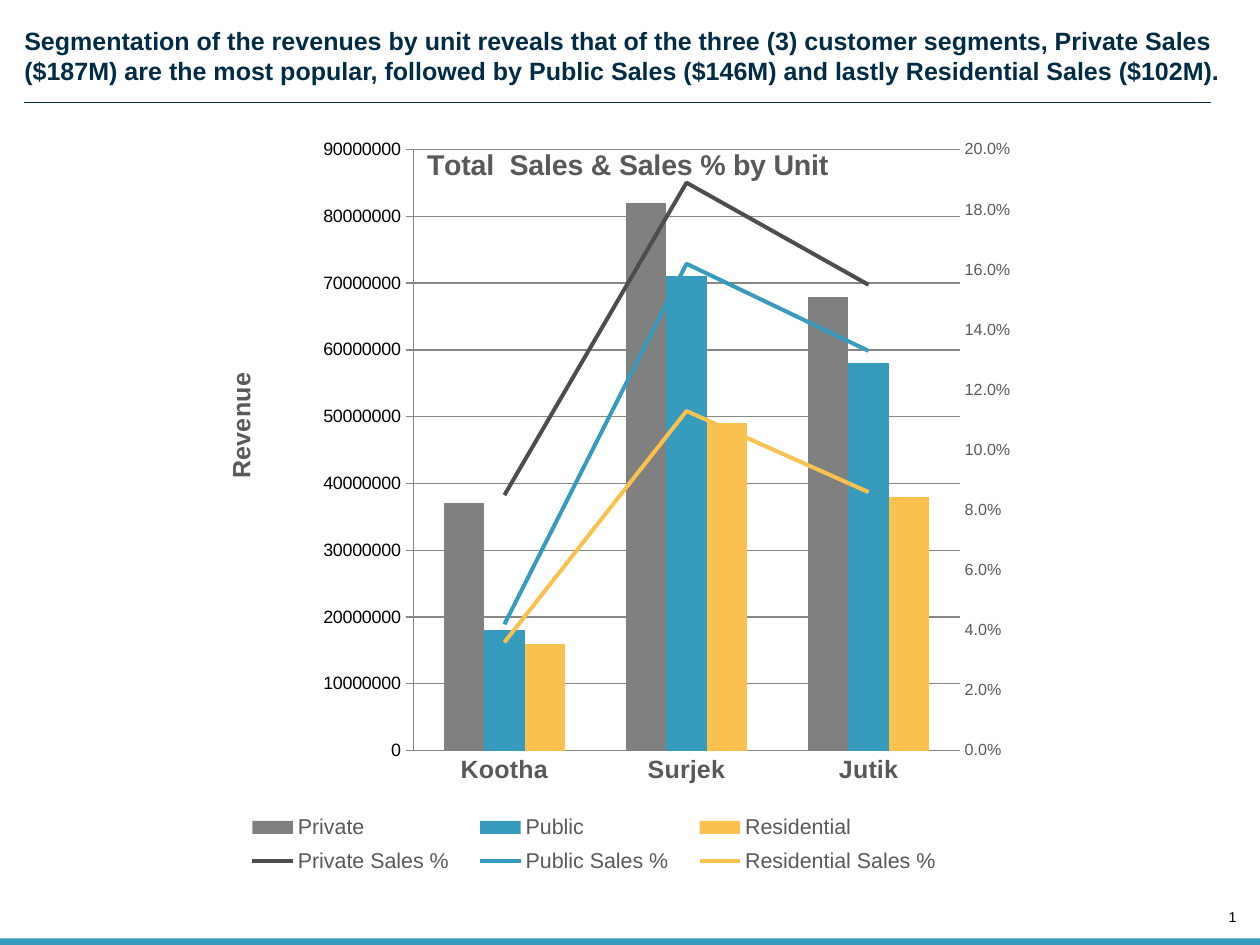
"""Build a slide with a combined column and line chart of sales by unit."""
from dataclasses import dataclass

from lxml.etree import SubElement
from pptx import Presentation
from pptx.chart.axis import ValueAxis
from pptx.chart.data import CategoryChartData
from pptx.dml.color import RGBColor
from pptx.enum.chart import XL_CHART_TYPE as ChartType
from pptx.enum.chart import XL_LEGEND_POSITION as LegendPosition
from pptx.enum.chart import XL_MARKER_STYLE as MarkerStyle
from pptx.enum.chart import XL_TICK_MARK as TickMark
from pptx.enum.shapes import MSO_CONNECTOR as Connector
from pptx.enum.shapes import MSO_SHAPE as Shape
from pptx.enum.text import MSO_ANCHOR as Anchor
from pptx.enum.text import PP_ALIGN as Align
from pptx.oxml import parse_xml
from pptx.oxml.ns import nsdecls, qn
from pptx.util import Cm, Pt


@dataclass(frozen=True)
class Theme:
    font: str = "Arial"
    navy: str = "002C46"
    blue: str = "379BBD"
    gray: str = "808080"
    dark_gray: str = "4D4D4D"
    yellow: str = "FBC14E"
    label: str = "595959"
    grid: str = "D9D9D9"
    black: str = "000000"
    heading: int = 14
    chart_title: int = 16
    legend: int = 12
    tick: int = 9
    page_number: int = 8
    thin: float = 0.75
    thick: float = 2.25


@dataclass(frozen=True)
class Measure:
    name: str
    values: tuple[float, ...]
    color: str


THEME = Theme()
UNITS = ("Kootha", "Surjek", "Jutik")
REVENUES = (
    Measure("Private", (37_000_000, 82_000_000, 68_000_000), THEME.gray),
    Measure("Public", (18_000_000, 71_000_000, 58_000_000), THEME.blue),
    Measure("Residential", (16_000_000, 49_000_000, 38_000_000), THEME.yellow),
)
SHARES = (
    Measure("Private Sales %", (0.085, 0.189, 0.155), THEME.dark_gray),
    Measure("Public Sales %", (0.042, 0.162, 0.133), THEME.blue),
    Measure("Residential Sales %", (0.036, 0.113, 0.086), THEME.yellow),
)
HEADING = (
    "Segmentation of the revenues by unit reveals that of the three (3) customer segments, "
    "Private Sales ($187M) are the most popular, followed by Public Sales ($146M) "
    "and lastly Residential Sales ($102M)."
)


def style_font(font, size: float, color: str, bold: bool = False) -> None:
    font.name, font.size, font.bold = THEME.font, Pt(size), bold
    font.color.rgb = RGBColor.from_string(color)


def write_text(frame, text: str, *, size: float, color: str, bold: bool = False,
               align=Align.LEFT, anchor=Anchor.TOP):
    frame.margin_left = frame.margin_right = frame.margin_top = frame.margin_bottom = 0
    frame.word_wrap = True
    frame.vertical_anchor = anchor
    paragraph = frame.paragraphs[0]
    paragraph.alignment = align
    run = paragraph.add_run()
    run.text = text
    style_font(run.font, size, color, bold)
    return run


def style_line(line, color: str, width: float) -> None:
    line.color.rgb = RGBColor.from_string(color)
    line.width = Pt(width)


def place(element, previous, **box: float) -> None:
    """Give a chart part a manual position, in fractions of the chart."""
    for layout in element.findall(qn("c:layout")):
        element.remove(layout)
    inner = '<c:layoutTarget val="inner"/>' if previous is None else ""
    modes = "".join(f'<c:{key}Mode val="edge"/>' for key in "xy")
    sizes = "".join(f'<c:{key} val="{value}"/>' for key, value in box.items())
    layout = parse_xml(f'<c:layout {nsdecls("c")}><c:manualLayout>{inner}{modes}{sizes}'
                       "</c:manualLayout></c:layout>")
    if previous is None:
        element.insert(0, layout)
    else:
        previous.addnext(layout)


def add_share_axis(chart) -> ValueAxis:
    """Move the share series to a line plot with its own right-hand axis."""
    plot_area = chart.plots[0]._element.getparent()
    bars = plot_area.find(qn("c:barChart"))
    lines = parse_xml(f'<c:lineChart {nsdecls("c")}><c:grouping val="standard"/><c:varyColors val="0"/>'
                      '<c:marker val="1"/><c:axId val="501"/><c:axId val="502"/></c:lineChart>')
    line_marker = lines.find(qn("c:marker"))
    for series in bars.findall(qn("c:ser"))[len(REVENUES):]:
        for setting in series.findall(qn("c:invertIfNegative")):
            series.remove(setting)
        line_marker.addprevious(series)
    bars.addnext(lines)
    previous = plot_area.find(qn("c:valAx"))
    for tag, own, other, hidden, side, crosses in (("catAx", 501, 502, 1, "b", "autoZero"),
                                                   ("valAx", 502, 501, 0, "r", "max")):
        axis = parse_xml(
            f'<c:{tag} {nsdecls("c")}><c:axId val="{own}"/><c:scaling><c:orientation val="minMax"/>'
            f'</c:scaling><c:delete val="{hidden}"/><c:axPos val="{side}"/>'
            f'<c:crossAx val="{other}"/><c:crosses val="{crosses}"/></c:{tag}>')
        previous.addnext(axis)
        previous = axis
    return ValueAxis(previous)


def style_axis(axis, size: float, bold: bool = False) -> None:
    axis.major_tick_mark = axis.minor_tick_mark = TickMark.NONE
    axis.format.line.fill.background()
    style_font(axis.tick_labels.font, size, THEME.label, bold)


def scale_axis(axis, maximum: float, unit: float, number_format: str) -> None:
    axis.minimum_scale, axis.maximum_scale, axis.major_unit = 0, maximum, unit
    axis.tick_labels.number_format = number_format
    axis.tick_labels.number_format_is_linked = False


def write_chart_title(title, text: str, size: float, x: float, y: float) -> None:
    run = title.text_frame.paragraphs[0].add_run()
    run.text = text
    style_font(run.font, size, THEME.label, True)
    place(title._element, title._element.find(qn("c:tx")), x=x, y=y)


def add_sales_chart(slide) -> None:
    data = CategoryChartData()
    data.categories = UNITS
    for measure in REVENUES + SHARES:
        data.add_series(measure.name, measure.values)
    chart = slide.shapes.add_chart(ChartType.COLUMN_CLUSTERED, Cm(3.35), Cm(2.34),
                                   Cm(16.61), Cm(15.42), data).chart
    style_font(chart.font, 10, THEME.black)
    share_axis = add_share_axis(chart)
    columns, lines = chart.plots
    columns.gap_width, columns.overlap, columns.vary_by_categories = 150, 0, False
    for series, measure in zip(columns.series, REVENUES):
        series.format.fill.solid()
        series.format.fill.fore_color.rgb = RGBColor.from_string(measure.color)
    for series, measure in zip(lines.series, SHARES):
        style_line(series.format.line, measure.color, THEME.thick)
        series.marker.style = MarkerStyle.NONE
        series.smooth = False

    revenue_axis = chart.value_axis
    style_axis(chart.category_axis, THEME.heading, True)
    style_axis(revenue_axis, THEME.tick)
    style_axis(share_axis, THEME.tick)
    scale_axis(revenue_axis, 90_000_000, 10_000_000, '"$"#,##0.00;[Red]\\-"$"#,##0.00')
    scale_axis(share_axis, 0.2, 0.02, "0.0%")
    style_line(revenue_axis.major_gridlines.format.line, THEME.grid, THEME.thin)

    write_chart_title(chart.chart_title, "Total  Sales & Sales % by Unit", THEME.chart_title, 0.3, 0.03)
    chart.chart_title._element.find(qn("c:overlay")).set("val", "1")
    write_chart_title(revenue_axis.axis_title, "Revenue", THEME.heading, 0.06, 0.32)
    revenue_axis.axis_title.text_frame._txBody.find(qn("a:bodyPr")).set("rot", "-5400000")

    chart.has_legend = True
    legend = chart.legend
    legend.position, legend.include_in_layout = LegendPosition.BOTTOM, False
    style_font(legend.font, THEME.legend, THEME.label)
    place(legend._element, legend._element.find(qn("c:legendPos")), x=0.07, y=0.88, w=0.87, h=0.1)
    place(columns._element.getparent(), None, x=0.29, y=0.04, w=0.65, h=0.77)


def add_page_number(slide) -> None:
    box = slide.shapes.add_textbox(Cm(23.43), Cm(17.96), Cm(1), Cm(0.33))
    run = write_text(box.text_frame, "1", size=THEME.page_number, color=THEME.black,
                     align=Align.RIGHT, anchor=Anchor.BOTTOM)._r
    field = SubElement(run.getparent(), qn("a:fld"), type="slidenum",
                       id="{B6F15528-21DE-4FAA-801E-634DDDAF4B2B}")
    field.extend(list(run))
    run.getparent().remove(run)


def main() -> None:
    presentation = Presentation()
    presentation.slide_width, presentation.slide_height = Cm(24.89), Cm(18.67)
    slide = presentation.slides.add_slide(presentation.slide_layouts[5])
    band = slide.shapes.add_shape(Shape.RECTANGLE, 0, Cm(18.54), Cm(24.89), Cm(0.13))
    band.shadow.inherit = False
    band.fill.solid()
    band.fill.fore_color.rgb = RGBColor.from_string(THEME.blue)
    band.line.fill.background()
    title = slide.shapes.title
    title.left, title.top, title.width, title.height = Cm(0.48), Cm(0.51), Cm(24.28), Cm(1.19)
    write_text(title.text_frame, HEADING, size=THEME.heading, color=THEME.navy, bold=True)
    rule = slide.shapes.add_connector(Connector.STRAIGHT, Cm(0.48), Cm(2.03), Cm(23.93), Cm(2.03))
    style_line(rule.line, THEME.navy, THEME.thin)
    SubElement(rule._element.spPr, qn("a:effectLst"))
    add_sales_chart(slide)
    add_page_number(slide)
    presentation.save("out.pptx")


if __name__ == "__main__":
    main()
